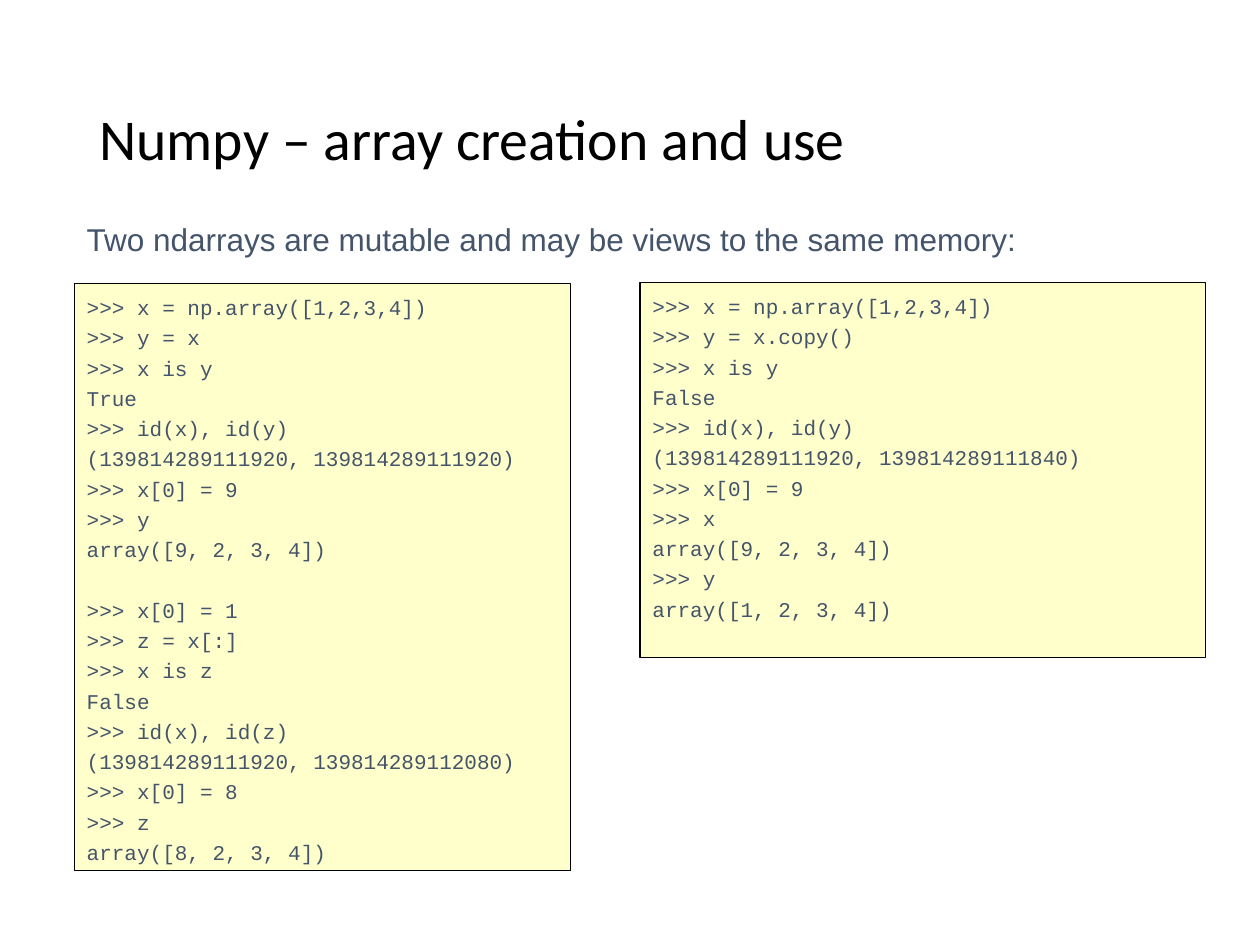
from dataclasses import dataclass

from pptx import Presentation
from pptx.dml.color import RGBColor
from pptx.enum.shapes import MSO_SHAPE
from pptx.enum.text import MSO_ANCHOR as Anchor, PP_ALIGN as Align
from pptx.util import Inches, Pt

COLORS = {"title": "000000", "text": "44546A", "code_fill": "FFFFCC", "border": "000000"}
CODE_LINE = Pt(17.3)


@dataclass
class Box:
    left: float
    top: float
    width: float
    height: float

    def lengths(self) -> list:
        return [Inches(v) for v in (self.left, self.top, self.width, self.height)]


@dataclass
class CodePanel:
    box: Box
    blocks: list[str]  # consecutive blocks are one line apart


def rgb(name: str) -> RGBColor:
    return RGBColor.from_string(COLORS[name])


def add_run(p, text: str, font: str, size: float, color: str) -> None:
    r = p.add_run()
    r.text = text
    r.font.name = font
    r.font.size = Pt(size)
    r.font.color.rgb = rgb(color)


def add_label(s, box: Box, text: str, font: str, size: float, color: str,
              anchor: Anchor, spacing: float) -> None:
    tf = s.shapes.add_textbox(*box.lengths()).text_frame
    tf.word_wrap = True
    tf.vertical_anchor = anchor
    p = tf.paragraphs[0]
    p.line_spacing = spacing
    add_run(p, text, font, size, color)


def add_code_panel(s, panel: CodePanel) -> None:
    sp = s.shapes.add_shape(MSO_SHAPE.RECTANGLE, *panel.box.lengths())
    sp.shadow.inherit = False
    sp.fill.solid()
    sp.fill.fore_color.rgb = rgb("code_fill")
    sp.line.color.rgb = rgb("border")
    sp.line.width = Pt(0.75)
    tf = sp.text_frame
    tf.word_wrap = True
    tf.vertical_anchor = Anchor.TOP
    p = tf.paragraphs[0]
    for b, block in enumerate(panel.blocks):
        for i, line in enumerate(block.strip().splitlines()):
            if b or i:
                p = tf.add_paragraph()
            if b and not i:
                p.space_before = CODE_LINE
            p.alignment = Align.LEFT
            p.line_spacing = CODE_LINE
            add_run(p, line, "Courier New", 12, "text")


SHARED_MEMORY = """
>>> x = np.array([1,2,3,4])
>>> y = x
>>> x is y
True
>>> id(x), id(y)
(139814289111920, 139814289111920)
>>> x[0] = 9
>>> y
array([9, 2, 3, 4])
"""
SLICE_VIEW = """
>>> x[0] = 1
>>> z = x[:]
>>> x is z
False
>>> id(x), id(z)
(139814289111920, 139814289112080)
>>> x[0] = 8
>>> z
array([8, 2, 3, 4])
"""
SEPARATE_COPY = """
>>> x = np.array([1,2,3,4])
>>> y = x.copy()
>>> x is y
False
>>> id(x), id(y)
(139814289111920, 139814289111840)
>>> x[0] = 9
>>> x
array([9, 2, 3, 4])
>>> y
array([1, 2, 3, 4])
"""
PANELS = [
    CodePanel(Box(0.59, 2.25, 3.94, 4.66), [SHARED_MEMORY, SLICE_VIEW]),
    CodePanel(Box(5.08, 2.24, 4.49, 2.98), [SEPARATE_COPY]),
]


def main() -> None:
    prs = Presentation()
    prs.slide_width, prs.slide_height = Inches(10), Inches(7.5)
    s = prs.slides.add_slide(prs.slide_layouts[6])

    # Title and introduction
    add_label(s, Box(0.69, 0.4, 8.63, 1.45), "Numpy – array creation and use",
              "Calibri", 33, "title", Anchor.MIDDLE, 0.9)
    add_label(s, Box(0.59, 1.7, 8.9, 0.4),
              "Two ndarrays are mutable and may be views to the same memory:",
              "Arial", 18, "text", Anchor.TOP, 1.0)

    # Code sessions
    for panel in PANELS:
        add_code_panel(s, panel)

    prs.save("out.pptx")


if __name__ == "__main__":
    main()
